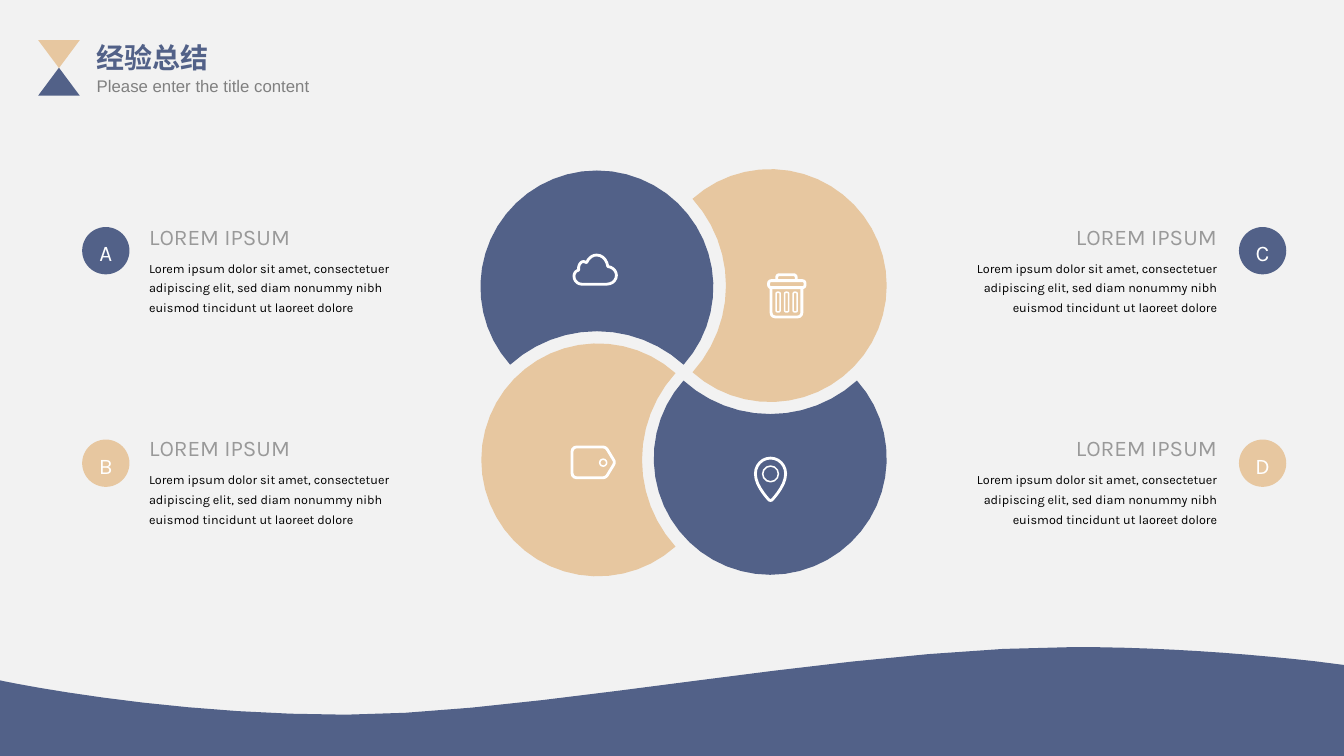
from dataclasses import dataclass
from math import acos, asin, cos, degrees, radians, sin

from pptx import Presentation
from pptx.dml.color import RGBColor
from pptx.enum.shapes import MSO_SHAPE
from pptx.enum.text import MSO_ANCHOR, MSO_AUTO_SIZE, PP_ALIGN
from pptx.util import Pt

OVAL, TRIANGLE, ROUNDED = MSO_SHAPE.OVAL, MSO_SHAPE.ISOSCELES_TRIANGLE, MSO_SHAPE.ROUNDED_RECTANGLE
LEFT, RIGHT, CENTER, JUSTIFY = PP_ALIGN.LEFT, PP_ALIGN.RIGHT, PP_ALIGN.CENTER, PP_ALIGN.JUSTIFY
TOP, MIDDLE = MSO_ANCHOR.TOP, MSO_ANCHOR.MIDDLE


@dataclass(frozen=True)
class Theme:
    paper: RGBColor = RGBColor(0xF2, 0xF2, 0xF2)
    blue: RGBColor = RGBColor(0x52, 0x61, 0x88)
    sand: RGBColor = RGBColor(0xE7, 0xC7, 0xA0)
    white: RGBColor = RGBColor(0xFF, 0xFF, 0xFF)
    black: RGBColor = RGBColor(0, 0, 0)
    subtitle: RGBColor = RGBColor(0x80, 0x80, 0x80)
    heading: RGBColor = RGBColor(0x99, 0x99, 0x99)
    title_size: int = 20
    heading_size: int = 16
    subtitle_size: int = 12
    body_size: int = 9
    title_font: str = "Arial"
    body_font: str = "Karla"


theme = Theme()
prs = Presentation()
prs.slide_width, prs.slide_height = Pt(960), Pt(540)
slide = prs.slides.add_slide(prs.slide_layouts[5])
slide.background.fill.solid()
slide.background.fill.fore_color.rgb = theme.paper
shapes = slide.shapes


def curve_points(path, steps):
    """Turn a path of M, L and C commands into points along it."""
    points = []
    for command in path.replace("L", "|L").replace("C", "|C").split("|"):
        n = [float(value) for value in command[1:].split()]
        if command[0] != "C":
            points.append((n[0], n[1]))
            continue
        x, y = points[-1]
        for i in range(1, steps + 1):
            t = i / steps
            a, b, c, d = (1 - t) ** 3, 3 * t * (1 - t) ** 2, 3 * t * t * (1 - t), t ** 3
            points.append((a * x + b * n[0] + c * n[2] + d * n[4],
                           a * y + b * n[1] + c * n[3] + d * n[5]))
    return points


def add_outline(points, close=True):
    """Build a freeform from points, kept to a hundredth of a point."""
    scaled = [(x * 100, y * 100) for x, y in points]
    builder = shapes.build_freeform(*scaled[0], scale=Pt(1) / 100)
    builder.add_line_segments(scaled[1:], close=close)
    return builder.convert_to_shape()


filled = []   # (shape, colour)
stroked = []  # (shape, line width)
texts = []    # (shape, text, size, font, colour, alignment, anchor)

# Wave along the bottom
wave = ("M 766.8 462.2 C 604.8 462.2 380.2 510.5 247 510.5 C 113 510.5 0 486 0 486 "
        "L 0 540 L 960 540 L 960 475 L 938.9 472.3 C 887 466.6 827.3 462.2 766.8 462.2")
filled.append((add_outline(curve_points(wave, 10)), theme.blue))

# Hourglass and title
for top, rotation, color in ((48.4, 0, theme.blue), (28.6, 180, theme.sand)):
    s = shapes.add_shape(TRIANGLE, Pt(27.2), Pt(top), Pt(29.8), Pt(20))
    s.rotation = rotation
    filled.append((s, color))

title = shapes.title
title.left, title.top, title.width, title.height = Pt(62), Pt(25.2), Pt(129), Pt(31.7)
texts.append((title, "经验总结", theme.title_size, theme.title_font, theme.blue, JUSTIFY, TOP))
subtitle = shapes.add_textbox(Pt(62), Pt(50.4), Pt(190), Pt(21.6))
texts.append((subtitle, "Please enter the title content", theme.subtitle_size,
              theme.title_font, theme.subtitle, JUSTIFY, TOP))

# Pinwheel: each petal is a disc cut by a wider circle around its neighbour
RADIUS, CUT_RADIUS, DISTANCE = 83.2, 92.2, 123.8
reach = (RADIUS ** 2 - CUT_RADIUS ** 2 + DISTANCE ** 2) / (2 * DISTANCE)
disc_angle = degrees(acos(reach / RADIUS))
cut_angle = degrees(asin(RADIUS * sin(radians(disc_angle)) / CUT_RADIUS))
for cx, cy, toward, color in ((550.2, 204, 180, theme.sand), (550.2, 327.4, 270, theme.blue),
                              (427, 328.5, 0, theme.sand), (426.4, 205, 90, theme.blue)):
    neighbour_x = cx + DISTANCE * cos(radians(toward))
    neighbour_y = cy + DISTANCE * sin(radians(toward))
    arcs = ((cx, cy, RADIUS, toward + disc_angle, toward + 360 - disc_angle, 36),
            (neighbour_x, neighbour_y, CUT_RADIUS,
             toward + 180 + cut_angle, toward + 180 - cut_angle, 12))
    points = []
    for x, y, radius, start, end, steps in arcs:
        for i in range(steps):
            angle = radians(start + (end - start) * i / steps)
            points.append((x + radius * cos(angle), y + radius * sin(angle)))
    filled.append((add_outline(points), color))

# Icons
cloud = ("M 433.4 203 L 415.4 203 C 412.6 203 410 200.5 410 197.3 "
         "C 410 195.1 411.5 193.3 413.3 193 C 412.9 189.4 414.7 186.8 416.9 186.8 "
         "L 419 187.6 C 420.5 184.3 423 182.2 426.2 182.2 "
         "C 430.2 182.2 433.4 185.4 434.2 190.4 C 437.8 190.8 440.3 193.7 440.3 196.6 "
         "C 440.3 200.2 437.4 203 433.4 203")
tag = ("M 411.8 319.3 L 430.6 319.3 C 431.9 319.3 433 320 433.7 321 L 438.4 328.7 "
       "C 439 329.7 439 330.9 438.4 331.9 L 433.7 339.6 C 433 340.7 431.9 341.3 430.6 341.3 "
       "L 411.8 341.3 C 410 341.3 408.6 339.9 408.6 338.1 L 408.6 322.5 "
       "C 408.6 320.7 410 319.3 411.8 319.3")
pin = ("M 550.4 327.2 C 556.4 327.2 561.2 332.2 561.2 338.4 "
       "C 561.2 345.4 555.5 352.6 551.9 356.7 C 551 357.7 549.8 357.7 548.9 356.7 "
       "C 545.3 352.6 539.6 345.4 539.6 338.4 C 539.6 332.2 544.4 327.2 550.4 327.2")
bin_body = ("M 550.8 205.6 L 550.8 223.4 C 550.8 225.2 552 226.4 553.8 226.4 "
            "L 569.8 226.4 C 571.6 226.4 572.8 225.2 572.8 223.4 L 572.8 205.6")
bin_handle = ("M 554.8 200.5 L 554.8 198.2 C 554.8 197 555.6 196.2 556.8 196.2 "
              "L 566.8 196.2 C 568 196.2 568.8 197 568.8 198.2 L 568.8 200.5")
for path, steps, close in ((cloud, 5, True), (tag, 3, True), (pin, 6, True),
                           (bin_body, 3, False), (bin_handle, 3, False)):
    stroked.append((add_outline(curve_points(path, steps), close), 2))

bin_slots = [(ROUNDED, 554.4 + 6.1 * i, 208.8, 2.9, 14, 1.1) for i in range(3)]
for kind, x, y, w, h, line_width in [(ROUNDED, 549, 200.5, 26, 5, 2),     # bin lid
                                     (OVAL, 544.8, 332.9, 11.2, 11.2, 1.1),  # pin eye
                                     (OVAL, 428.4, 328, 5, 5, 1.1),       # tag hole
                                     *bin_slots]:
    s = shapes.add_shape(kind, Pt(x), Pt(y), Pt(w), Pt(h))
    if kind == ROUNDED:
        s.adjustments[0] = 0.35
    stroked.append((s, line_width))

# Four lettered notes
NOTE = ("Lorem ipsum dolor sit amet, consectetuer adipiscing elit, "
        "sed diam nonummy nibh euismod tincidunt ut laoreet dolore")
notes = []
for letter, column, row in (("A", 0, 0), ("B", 0, 1), ("C", 1, 0), ("D", 1, 1)):
    dy = 151.2 * row
    align = (LEFT, RIGHT)[column]
    heading = shapes.add_textbox(Pt((99.4, 740.9)[column]), Pt(155.5 + dy), Pt(135.4), Pt(27.4))
    note = shapes.add_textbox(Pt((99.4, 671.8)[column]), Pt(179.3 + dy), Pt(204.5), Pt(49.7))
    badge = shapes.add_shape(OVAL, Pt((58.7, 885)[column]), Pt(162.2 + 151.8 * row),
                             Pt(33.8), Pt(33.8))
    filled.append((badge, (theme.blue, theme.sand)[row]))
    notes.append(note)
    texts += [
        (heading, "LOREM IPSUM", theme.heading_size, theme.body_font, theme.heading, align, TOP),
        (note, NOTE, theme.body_size, theme.body_font, theme.black, align, TOP),
        (badge, letter, theme.heading_size, theme.body_font, theme.white, CENTER, MIDDLE),
    ]

# Formatting
for s, color in filled:
    s.shadow.inherit = False
    s.fill.solid()
    s.fill.fore_color.rgb = color
    s.line.fill.background()

for s, line_width in stroked:
    s.shadow.inherit = False
    s.fill.background()
    s.line.color.rgb = theme.white
    s.line.width = Pt(line_width)

for s, text, size, font, color, align, anchor in texts:
    tf = s.text_frame
    tf.word_wrap = True
    tf.auto_size = MSO_AUTO_SIZE.NONE
    tf.vertical_anchor = anchor
    if anchor == MIDDLE:
        tf.margin_left = tf.margin_right = tf.margin_bottom = 0
        tf.margin_top = Pt(3)
    p = tf.paragraphs[0]
    p.text = text
    p.alignment = align
    p.font.size, p.font.name, p.font.color.rgb = Pt(size), font, color
    p.font.bold = s is title

for note in notes:
    note.text_frame.paragraphs[0].line_spacing = 1.3

prs.save("out.pptx")
